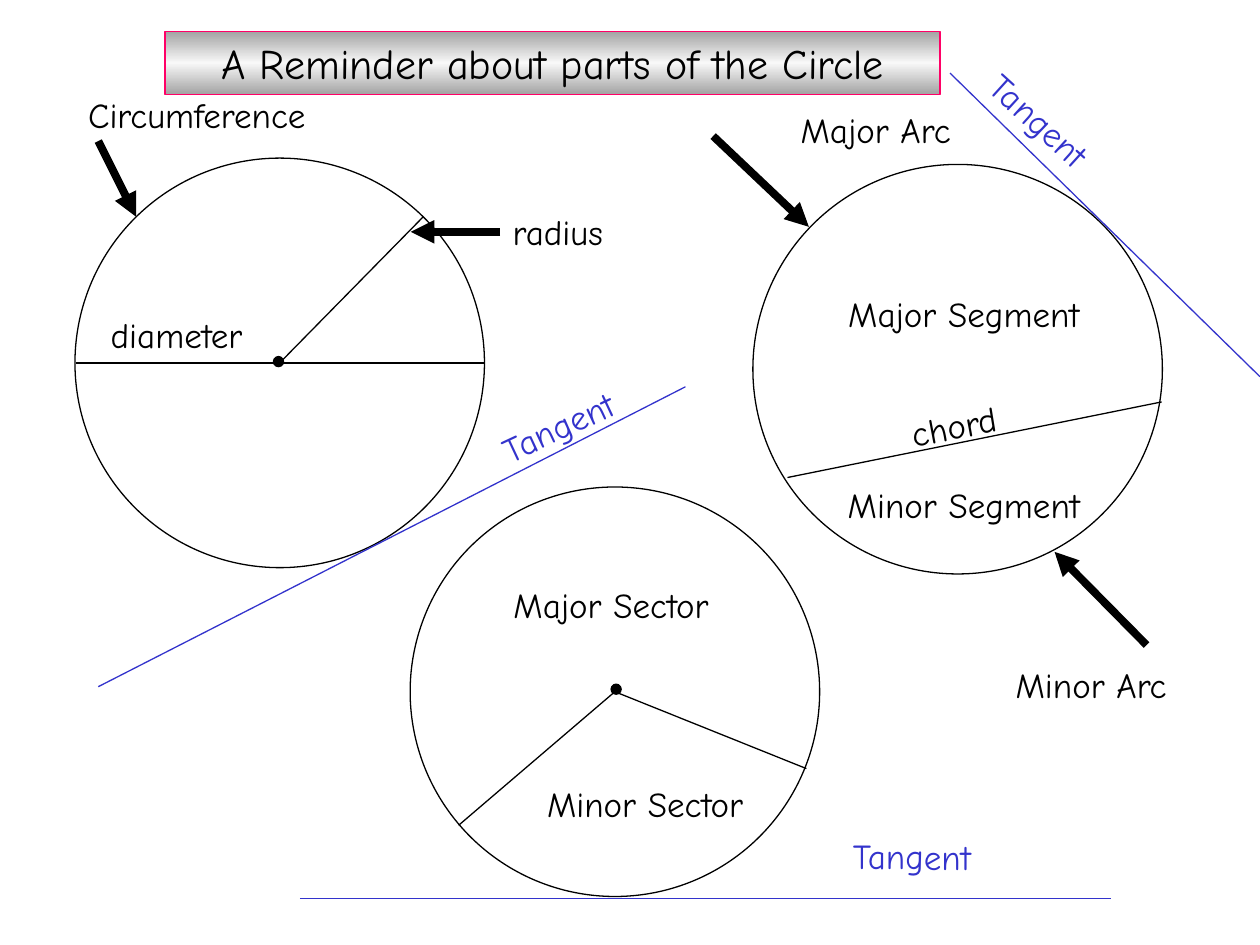
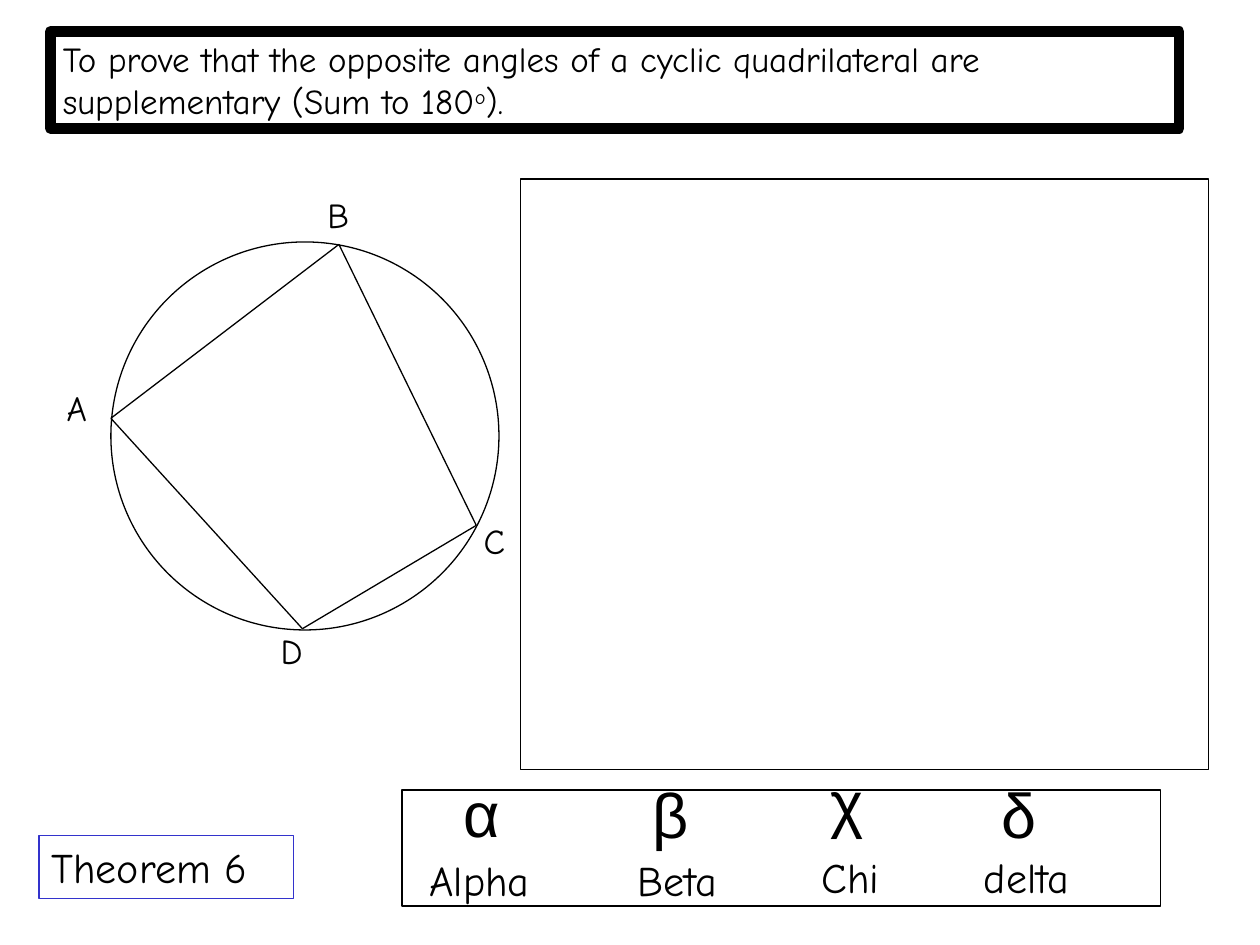
from copy import deepcopy

from lxml import etree
from pptx import Presentation
from pptx import util as u
from pptx.dml.color import RGBColor
from pptx.enum import shapes, text
from pptx.oxml.ns import qn

COLORS = {"ink": "000000", "tangent": "3333CC", "title_edge": "FF0066",
          "silver": "A3A3A3", "shine": "F8F8F8"}
HAND, GREEK = "Comic Neue", "Arial"
BODY, HEADING, SYMBOL = 20, 24, 36
THIN, ARROW, FRAME = 0.75, 4.5, 6
HEIGHTS = {BODY: 0.44, HEADING: 0.5, SYMBOL: 0.7}
CIRCLE, DOT = 3.25, 0.08
ALIGN = text.PP_ALIGN


def rgb(name):
    return RGBColor.from_string(COLORS[name])


def box(left, top, width, height):
    return [u.Inches(v) for v in (left, top, width, height)]


def write(sp, content, size=BODY, color="ink", font=HAND, align=ALIGN.LEFT, wrap=True):
    """Fill a shape with one paragraph; content is a string or (string, baseline) pairs."""
    tf = sp.text_frame
    tf.word_wrap = wrap
    tf.vertical_anchor = text.MSO_ANCHOR.TOP
    p = tf.paragraphs[0]
    p.alignment = align
    for part, baseline in [(content, 0)] if isinstance(content, str) else content:
        r = p.add_run()
        r.text = part
        r.font.size, r.font.name = u.Pt(size), font
        r.font.color.rgb = rgb(color)
        if baseline:
            r.font._element.set("baseline", str(baseline * 1000))


def label(s, content, left, top, width, rotation=0, size=BODY, **fmt):
    sp = s.shapes.add_textbox(*box(left, top, width, HEIGHTS[size]))
    sp.rotation = rotation
    write(sp, content, size=size, **fmt)


def outline(s, kind, bounds, color="ink", weight=THIN, fill=None):
    sp = s.shapes.add_shape(kind, *box(*bounds))
    sp.shadow.inherit = False
    sp.line.color.rgb, sp.line.width = rgb(color), u.Pt(weight)
    if fill:
        sp.fill.solid()
        sp.fill.fore_color.rgb = rgb(fill)
    else:
        sp.fill.background()
    return sp


def frame(s, *bounds, **style):
    return outline(s, shapes.MSO_SHAPE.RECTANGLE, bounds, **style)


def circle(s, cx, cy, diameter=CIRCLE, **style):
    bounds = (cx - diameter / 2, cy - diameter / 2, diameter, diameter)
    return outline(s, shapes.MSO_SHAPE.OVAL, bounds, **style)


def line(s, start, end, color="ink", weight=THIN, arrow=False):
    ends = [u.Inches(v) for v in (*start, *end)]
    c = s.shapes.add_connector(shapes.MSO_CONNECTOR.STRAIGHT, *ends)
    c.line.color.rgb, c.line.width = rgb(color), u.Pt(weight)
    if arrow:
        etree.SubElement(c.line._get_or_add_ln(), qn("a:tailEnd"), type="triangle")
    etree.SubElement(c._element.spPr, qn("a:effectLst"))


def arrow(s, start, end):
    line(s, start, end, weight=ARROW, arrow=True)


def title_bar(s, content):
    sp = frame(s, 1.31, 0.25, 6.15, 0.5, color="title_edge")
    sp.fill.gradient()
    sp.fill.gradient_angle = 90
    first = sp.fill.gradient_stops[0]._gs
    first.addnext(deepcopy(first))
    stops = zip(sp.fill.gradient_stops, ("silver", "shine", "silver"), (0, 0.5, 1))
    for stop, color, position in stops:
        stop.color.rgb, stop.position = rgb(color), position
    write(sp, content, size=HEADING, align=ALIGN.CENTER)


def circle_parts(s):
    first, second, third = (2.22, 2.88), (7.6, 2.93), (4.88, 5.49)
    for centre in (first, second, third):
        circle(s, *centre)
    for centre in ((2.21, 2.87), (4.89, 5.47)):
        circle(s, *centre, diameter=DOT, fill="ink")

    for start, end in [((0.6, 2.88), (3.85, 2.88)),  # diameter
                       (first, (3.36, 1.72)),  # radius
                       ((6.25, 3.79), (9.22, 3.19)),  # chord
                       (third, (3.64, 6.55)),  # sector edges
                       (third, (6.4, 6.1))]:
        line(s, start, end)
    for start, end in [((0.78, 1.12), (1.08, 1.72)),  # circumference
                       ((3.97, 1.84), (3.26, 1.84)),  # radius
                       ((5.66, 1.08), (6.42, 1.8)),  # major arc
                       ((9.1, 5.12), (8.37, 4.38))]:  # minor arc
        arrow(s, start, end)
    for start, end in [((0.78, 5.45), (5.44, 3.07)),
                       ((2.38, 7.13), (8.82, 7.13)),
                       ((7.54, 0.58), (10, 2.99))]:
        line(s, start, end, color="tangent")

    title_bar(s, "A Reminder about parts of the Circle")
    label(s, "diameter", 0.78, 2.44, 2.58)
    label(s, "Circumference", 0.6, 0.69, 2.58)
    label(s, "radius", 3.97, 1.62, 1.1)
    label(s, "chord", 7.13, 3.14, 1.1, rotation=349.3)
    for name, left, top, width in [("Major Segment", 6.39, 2.27, 2.52),
                                   ("Minor Segment", 6.39, 3.79, 2.52),
                                   ("Major Arc", 5.96, 0.81, 1.98),
                                   ("Minor Arc", 7.67, 5.22, 1.98),
                                   ("Major Sector", 3.86, 4.58, 1.98),
                                   ("Minor Sector", 4.13, 6.16, 1.98)]:
        label(s, name, left, top, width, align=ALIGN.CENTER)
    for left, top, rotation in [(3.83, 3, 334.9), (7.58, 1, 42.2), (6.67, 6.58, 0.2)]:
        label(s, "Tangent", left, top, 1.92, rotation=rotation, color="tangent")


def cyclic_quadrilateral(s):
    circle(s, 2.42, 3.46, diameter=3.08)
    vertices = [(0.88, 3.32), (2.69, 1.94), (3.78, 4.17), (2.4, 4.99)]
    for start, end in zip(vertices, vertices[1:] + vertices[:1]):
        line(s, start, end)
    for name, left, top in [("A", 0.43, 3.02), ("B", 2.5, 1.49),
                            ("C", 3.74, 4.07), ("D", 2.13, 4.95)]:
        label(s, name, left, top, 0.56)

    statement = frame(s, 0.4, 0.25, 8.96, 0.77, weight=FRAME)
    write(statement, [("To prove that the opposite angles of a cyclic quadrilateral "
                       "are supplementary (Sum to 180", 0), ("o", 30), (").", 0)])
    write(frame(s, 0.31, 6.63, 2.02, 0.5, color="tangent"), "Theorem 6", size=HEADING)

    frame(s, 3.19, 6.27, 6.02, 0.92)  # Greek letter key
    for letter, left, top, width, name, name_left, name_top in [
            ("α", 3.58, 6.1, 0.51, "Alpha", 3.31, 6.73),
            ("β", 5.08, 6.11, 0.47, "Beta", 4.96, 6.73),
            ("χ", 6.49, 6.01, 0.47, "Chi", 6.42, 6.71),
            ("δ", 7.85, 6.11, 0.44, "delta", 7.71, 6.71)]:
        label(s, letter, left, top, width, size=SYMBOL, font=GREEK, wrap=False)
        label(s, name, name_left, name_top, 1.81, size=HEADING)
    frame(s, 4.13, 1.42, 5.46, 4.69)  # space for the proof


def main():
    prs = Presentation()
    prs.slide_width, prs.slide_height = u.Inches(10), u.Inches(7.5)
    for build in (circle_parts, cyclic_quadrilateral):
        build(prs.slides.add_slide(prs.slide_layouts[6]))
    prs.save("out.pptx")


if __name__ == "__main__":
    main()
